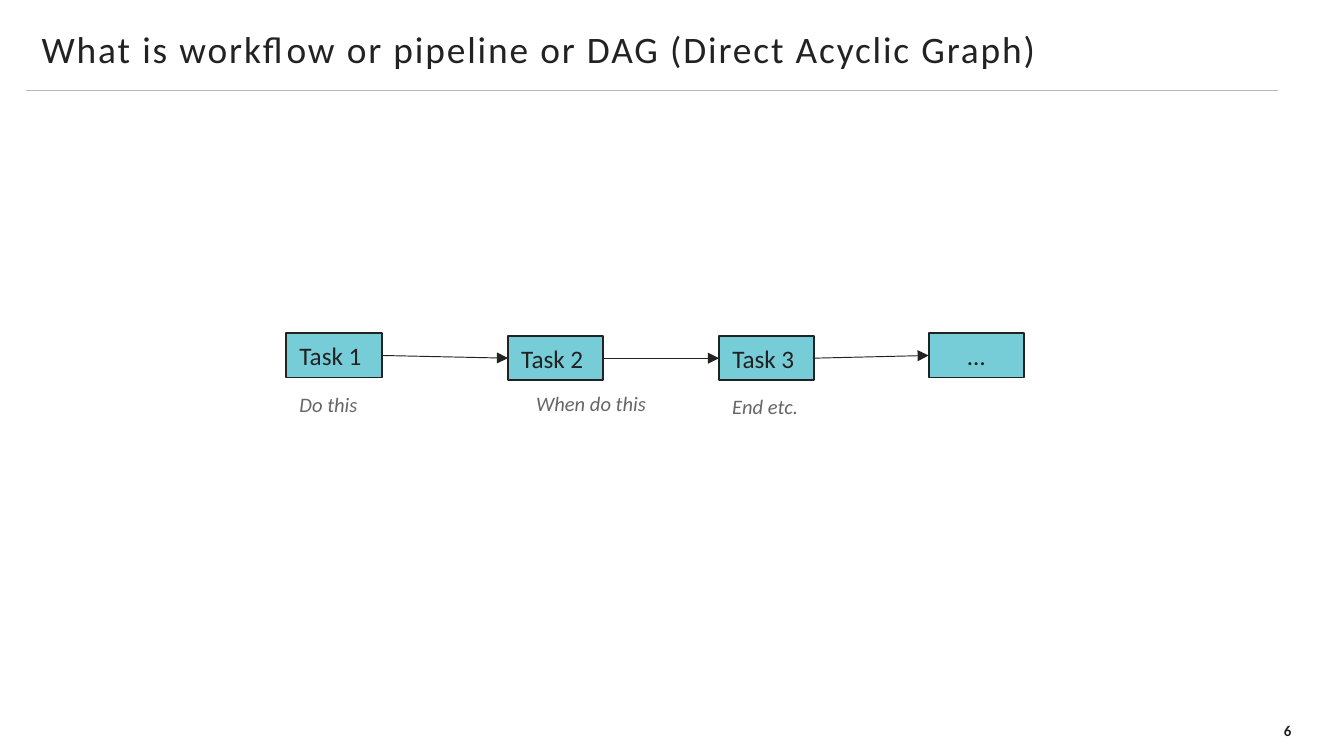
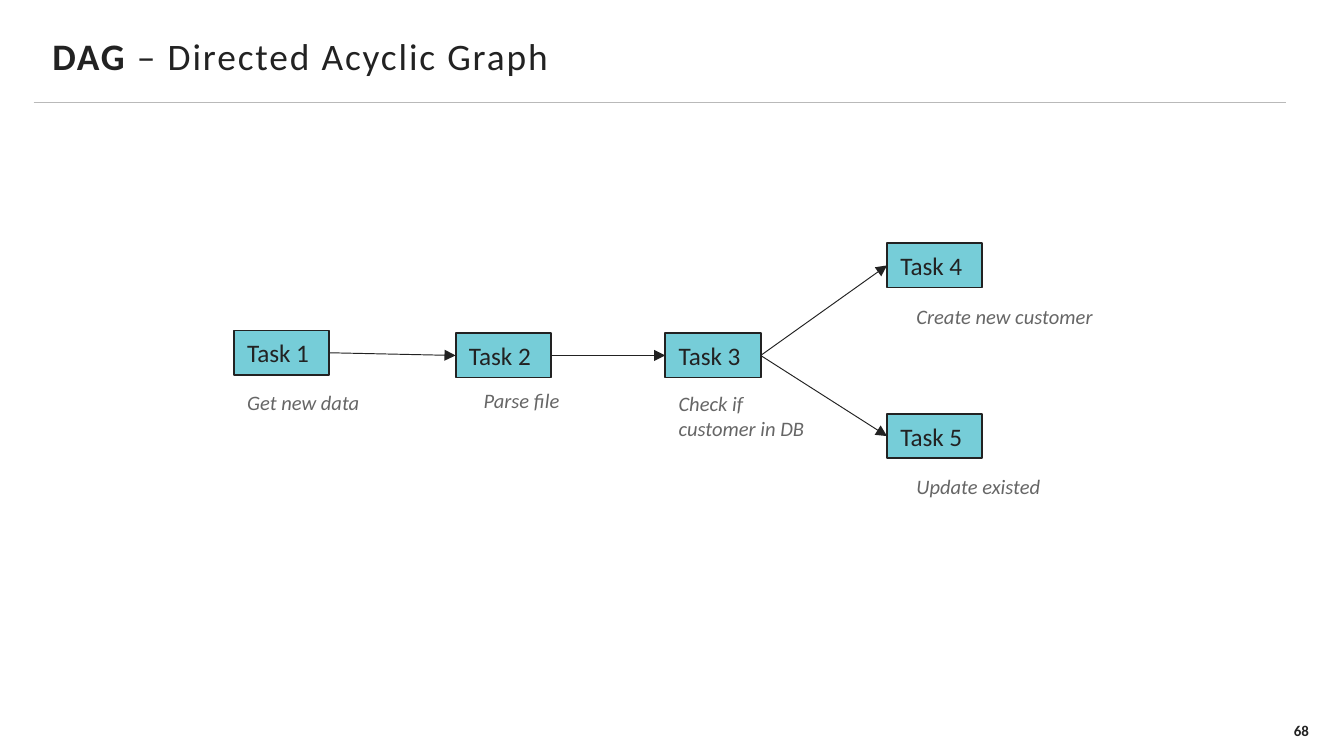
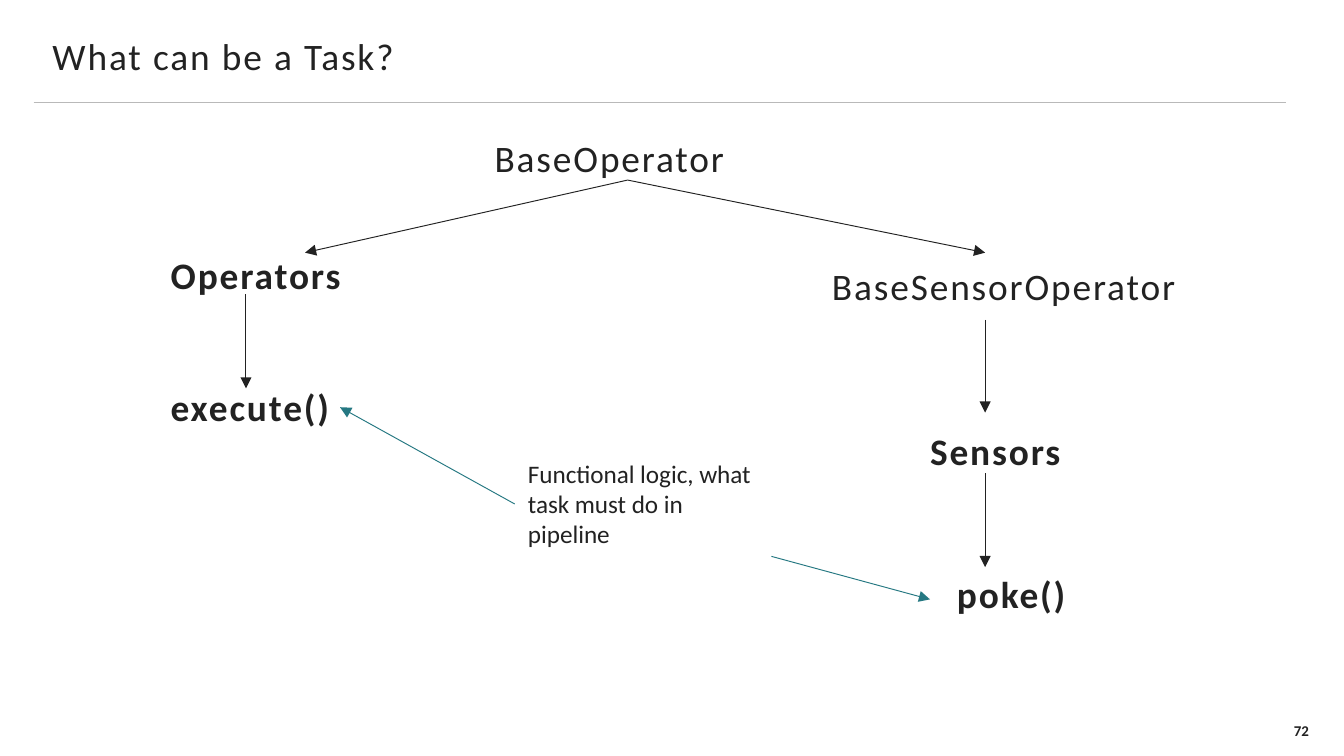
from dataclasses import dataclass
from typing import Optional

from lxml import etree
from pptx import Presentation
from pptx.dml.color import RGBColor
from pptx.enum.shapes import MSO_CONNECTOR, MSO_SHAPE
from pptx.enum.text import MSO_ANCHOR, MSO_AUTO_SIZE, PP_ALIGN
from pptx.oxml.ns import qn
from pptx.util import Inches, Pt

STRAIGHT = MSO_CONNECTOR.STRAIGHT
RECTANGLE = MSO_SHAPE.RECTANGLE
TOP, MIDDLE = MSO_ANCHOR.TOP, MSO_ANCHOR.MIDDLE
FIXED, GROW = MSO_AUTO_SIZE.NONE, MSO_AUTO_SIZE.SHAPE_TO_FIT_TEXT
LEFT, CENTER, RIGHT = PP_ALIGN.LEFT, PP_ALIGN.CENTER, PP_ALIGN.RIGHT

SLIDE_WIDTH = Inches(10)
SLIDE_HEIGHT = SLIDE_WIDTH * 9 // 16
CELL = SLIDE_WIDTH // 100

COLORS = {
    "ink": "222222",
    "caption": "666666",
    "rule": "B9B9B9",
    "task": "76CDD8",
    "accent": "257882",
}
FONT = "Calibri"
TITLE_ONLY = 5
LEFT_SITE, RIGHT_SITE = 1, 3

TASK_COLUMNS, TASK_ROWS = 7.1, 3.3
CAPTION_ROWS, CAPTION_LINE_ROWS = 1.1, 1.8
TITLE_COLUMNS, HEADING_ROWS = 92.2, 3.3
NUMBER_COLUMNS, NUMBER_ROW, NUMBER_ROWS = 15, 52.8, 3.5
RULE_COLUMNS = 93.2
DEFAULT_INSETS = (1, 0.5, 1, 0.5)
HEADING_INSETS = (0, 0.5, 0, 0.5)
NUMBER_INSETS = (1, 0.5, 0, 0.9)


@dataclass(frozen=True)
class Frame:
    title_column: float
    title_row: float
    rule_column: float
    rule_row: float
    number_column: float


@dataclass(frozen=True)
class TextStyle:
    size: float
    color: str = "ink"
    bold: Optional[bool] = False
    italic: bool = False
    tracking: int = 0
    align: int = LEFT


@dataclass(frozen=True)
class Task:
    label: str
    column: float
    row: float
    align: int = LEFT


@dataclass(frozen=True)
class Caption:
    text: str
    column: float
    row: float
    columns: float


@dataclass(frozen=True)
class Concept:
    text: str
    column: float
    row: float
    columns: float
    bold: bool


@dataclass(frozen=True)
class Arrow:
    start: tuple[float, float]
    end: tuple[float, float]
    color: str = "ink"


OPENING_FRAME = Frame(3.1, 2, 1.9, 6.7, 81.1)
REGULAR_FRAME = Frame(3.9, 2.5, 2.5, 7.6, 82.4)

HEADING = TextStyle(20, tracking=100)
BOLD_HEADING = TextStyle(20, bold=True, tracking=100)
MIXED_HEADING = TextStyle(20, bold=None, tracking=100)
BODY = TextStyle(13.5)
CAPTION = TextStyle(11, "caption", italic=True)
NUMBER = TextStyle(8, bold=True, align=RIGHT)

SIMPLE_TASKS = [
    Task("Task 1", 21.3, 24.8),
    Task("Task 2", 37.8, 25),
    Task("Task 3", 53.5, 25),
    Task("…", 69.1, 24.8, CENTER),
]
SIMPLE_LINKS = [(0, 1), (1, 2), (2, 3)]
SIMPLE_CAPTIONS = [
    Caption("Do this", 21.3, 28.7, 6.3),
    Caption("When do this", 38.9, 28.6, 10.2),
    Caption("End etc.", 53.5, 28.8, 7),
]

BRANCHED_TASKS = [
    Task("Task 1", 17.4, 24.6),
    Task("Task 2", 33.9, 24.8),
    Task("Task 3", 49.5, 24.8),
    Task("Task 4", 66, 18.1),
    Task("Task 5", 66, 30.8),
]
BRANCHED_LINKS = [(0, 1), (1, 2), (2, 3), (2, 4)]
BRANCHED_CAPTIONS = [
    Caption("Get new data", 17.4, 28.5, 10.5),
    Caption("Parse file", 35, 28.4, 7.7),
    Caption("Check if\ncustomer in DB", 49.5, 28.6, 11.5),
    Caption("Create new customer", 67.2, 22.1, 15.3),
    Caption("Update existed", 67.2, 34.8, 11.3),
]

CONCEPTS = [
    Concept("BaseOperator", 36.8, 10.1, 19.9, False),
    Concept("Operators", 12.7, 18.8, 19.9, True),
    Concept("Sensors", 69.2, 31.9, 12.5, True),
    Concept("BaseSensorOperator", 61.9, 19.6, 19.9, False),
    Concept("poke()", 71.2, 42.5, 12.5, True),
    Concept("execute()", 12.7, 28.6, 12.5, True),
]
CONCEPT_ARROWS = [
    Arrow((46.7, 13.4), (22.7, 18.8)),
    Arrow((46.7, 13.4), (73.3, 18.8)),
    Arrow((73.3, 23.8), (73.3, 30.7)),
    Arrow((18.3, 21.9), (18.3, 28.9)),
    Arrow((73.3, 35.2), (73.3, 42.2)),
    Arrow((38.3, 37.5), (25.3, 30.3), "accent"),
    Arrow((57.4, 41.4), (69.2, 44.6), "accent"),
]


def cells(count: float) -> int:
    return round(count * CELL)


def rgb(name: str) -> RGBColor:
    return RGBColor.from_string(COLORS[name])


def style_paragraph(paragraph, style: TextStyle) -> None:
    paragraph.alignment = style.align
    font = paragraph.font
    font.name = FONT
    font.size = Pt(style.size)
    font.bold = style.bold
    font.italic = style.italic
    font.color.rgb = rgb(style.color)
    if style.tracking:
        defaults = paragraph._p.pPr.find(qn("a:defRPr"))
        defaults.set("spc", str(style.tracking))


def format_frame(frame, insets=DEFAULT_INSETS, anchor=MIDDLE, fit=FIXED, wrap=False) -> None:
    frame.auto_size = fit
    frame.word_wrap = wrap
    frame.vertical_anchor = anchor
    (frame.margin_left, frame.margin_top,
     frame.margin_right, frame.margin_bottom) = map(cells, insets)


def write(frame, text: str, style: TextStyle) -> None:
    frame.text = text
    for paragraph in frame.paragraphs:
        style_paragraph(paragraph, style)


def add_text(slide, text: str, area: tuple, style: TextStyle, **layout) -> None:
    frame = slide.shapes.add_textbox(*map(cells, area)).text_frame
    format_frame(frame, **layout)
    write(frame, text, style)


def style_line(connector, color: str, arrow: bool) -> None:
    connector.line.color.rgb = rgb(color)
    connector.line.width = Pt(0.5)
    if arrow:
        etree.SubElement(connector.line._get_or_add_ln(), qn("a:tailEnd"), type="triangle")
    etree.SubElement(connector._element.spPr, qn("a:effectLst"))


def add_line(slide, start: tuple, end: tuple, color: str, arrow: bool = True) -> None:
    connector = slide.shapes.add_connector(STRAIGHT, *map(cells, start + end))
    style_line(connector, color, arrow)


def add_task(slide, task: Task):
    area = (task.column, task.row, TASK_COLUMNS, TASK_ROWS)
    box = slide.shapes.add_shape(RECTANGLE, *map(cells, area))
    box.shadow.inherit = False
    box.fill.solid()
    box.fill.fore_color.rgb = rgb("task")
    box.line.color.rgb = rgb("ink")
    box.line.width = Pt(1)
    format_frame(box.text_frame, wrap=True)
    write(box.text_frame, task.label, TextStyle(13.5, align=task.align))
    return box


def add_link(slide, source, target) -> None:
    connector = slide.shapes.add_connector(STRAIGHT, 0, 0, 0, 0)
    connector.begin_connect(source, RIGHT_SITE)
    connector.end_connect(target, LEFT_SITE)
    style_line(connector, "ink", True)


def add_slide(deck, frame: Frame, title: str, number: int, bold_lead: str = ""):
    slide = deck.slides.add_slide(deck.slide_layouts[TITLE_ONLY])
    heading = slide.shapes.title
    heading.left, heading.top = cells(frame.title_column), cells(frame.title_row)
    heading.width, heading.height = cells(TITLE_COLUMNS), cells(HEADING_ROWS)
    format_frame(heading.text_frame, HEADING_INSETS)
    if bold_lead:
        paragraph = heading.text_frame.paragraphs[0]
        for text, bold in ((bold_lead, True), (title, False)):
            run = paragraph.add_run()
            run.text = text
            run.font.bold = bold
        style_paragraph(paragraph, MIXED_HEADING)
    else:
        write(heading.text_frame, title, HEADING)
    add_line(slide, (frame.rule_column, frame.rule_row),
             (frame.rule_column + RULE_COLUMNS, frame.rule_row), "rule", arrow=False)
    add_text(slide, str(number),
             (frame.number_column, NUMBER_ROW, NUMBER_COLUMNS, NUMBER_ROWS),
             NUMBER, insets=NUMBER_INSETS)
    return slide


def add_workflow(slide, tasks: list[Task], links: list[tuple[int, int]],
                 captions: list[Caption]) -> None:
    boxes = [add_task(slide, task) for task in tasks]
    for source, target in links:
        add_link(slide, boxes[source], boxes[target])
    for caption in captions:
        lines = caption.text.count("\n") + 1
        rows = CAPTION_ROWS + CAPTION_LINE_ROWS * lines
        add_text(slide, caption.text, (caption.column, caption.row, caption.columns, rows),
                 CAPTION, anchor=TOP, fit=GROW)


def add_hierarchy(slide) -> None:
    for concept in CONCEPTS:
        add_text(slide, concept.text,
                 (concept.column, concept.row, concept.columns, HEADING_ROWS),
                 BOLD_HEADING if concept.bold else HEADING, insets=HEADING_INSETS)
    for arrow in CONCEPT_ARROWS:
        add_line(slide, arrow.start, arrow.end, arrow.color)
    add_text(slide, "Functional logic, what task must do in pipeline",
             (38.3, 33.6, 19.9, 7.8), BODY, anchor=TOP, fit=GROW, wrap=True)


def main() -> None:
    deck = Presentation()
    deck.slide_width, deck.slide_height = SLIDE_WIDTH, SLIDE_HEIGHT

    pipeline = add_slide(deck, OPENING_FRAME,
                         "What is workflow or pipeline or DAG (Direct Acyclic Graph)", 6)
    add_workflow(pipeline, SIMPLE_TASKS, SIMPLE_LINKS, SIMPLE_CAPTIONS)

    graph = add_slide(deck, REGULAR_FRAME, " – Directed Acyclic Graph", 68, bold_lead="DAG")
    add_workflow(graph, BRANCHED_TASKS, BRANCHED_LINKS, BRANCHED_CAPTIONS)

    add_hierarchy(add_slide(deck, REGULAR_FRAME, "What can be a Task?", 72))

    deck.save("out.pptx")


if __name__ == "__main__":
    main()
